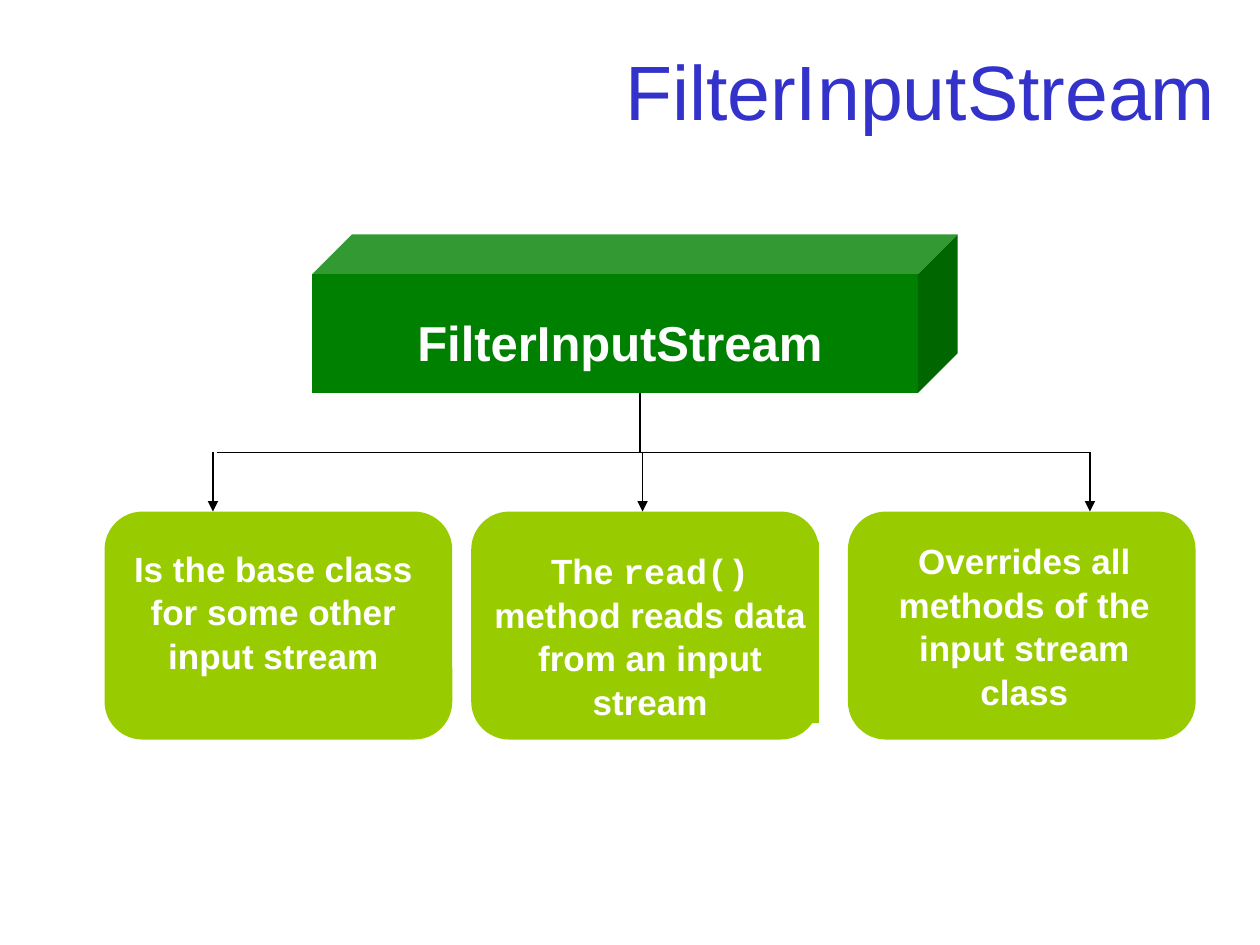
import pptx
import pptx.util
import pptx.dml.color
import pptx.enum.shapes
import pptx.enum.text
import pptx.oxml
import pptx.oxml.ns

Inches = pptx.util.Inches
SHAPE = pptx.enum.shapes.MSO_SHAPE
ALIGN = pptx.enum.text.PP_ALIGN
ANCHOR = pptx.enum.text.MSO_ANCHOR

THEME = {
    "title": "3333CC", "cube": "008000", "card": "99CC00", "text": "FFFFFF", "line": "000000",
    "font": "Arial", "code": "Courier New",
    "title_size": 44, "cube_size": 28, "card_size": 20, "line_width": 0.75, "spacing": 1.04,
}

WIDTH, HEIGHT = 10, 7.5
TITLE = "FilterInputStream"
TITLE_BOX = (0.75, 0.28, 9, 0.87)
CUBE_BOX = (2.48, 1.86, 5.12, 1.26)
CUBE_LABEL_BOX = (3.03, 2.41, 3.78, 0.57)
CARD_TOP, CARD_WIDTH, CARD_HEIGHT = 4.06, 2.76, 1.81
STEM_X = 5.08
BUS_LEFT = 1.72

CARDS = [
    {"left": 0.83, "label": (0.95, 4.28, 2.44, 1.1), "arrow": 1.69,
     "runs": [("Is the base class for some other input stream", False)]},
    {"left": 3.74, "label": (3.82, 4.3, 2.68, 1.44), "arrow": 5.1,
     "runs": [("The ", False), ("read()", True), (" method reads data from an input stream", False)]},
    {"left": 6.73, "label": (6.81, 4.22, 2.64, 1.44), "arrow": 8.65,
     "runs": [("Overrides all methods of the input stream class", False)]},
]


def color(name):
    return pptx.dml.color.RGBColor.from_string(THEME[name])


def add_block(shapes, kind, box, fill):
    shape = shapes.add_shape(kind, *map(Inches, box))
    shape.shadow.inherit = False
    shape.fill.solid()
    shape.fill.fore_color.rgb = color(fill)
    shape.line.fill.background()
    return shape


def write(shape, runs, size, ink, align, anchor, bold):
    frame = shape.text_frame
    frame.word_wrap = True
    frame.vertical_anchor = anchor
    paragraph = frame.paragraphs[0]
    paragraph.alignment = align
    paragraph.font.name = THEME["font"]
    paragraph.font.size = pptx.util.Pt(THEME[size])
    paragraph.font.bold = bold
    paragraph.font.color.rgb = color(ink)
    for text, is_code in runs:
        run = paragraph.add_run()
        run.text = text
        if is_code:
            run.font.name = THEME["code"]
    return paragraph


def add_labelled_block(slide, kind, box, label_box, fill, runs, size):
    group = slide.shapes.add_group_shape()
    block = add_block(group.shapes, kind, box, fill)
    label = add_block(group.shapes, SHAPE.RECTANGLE, label_box, fill)
    paragraph = write(label, runs, size, "text", ALIGN.CENTER, ANCHOR.TOP, True)
    paragraph.line_spacing = THEME["spacing"]
    return block


def add_line(slide, start, end, arrow=False):
    connector = slide.shapes.add_connector(
        pptx.enum.shapes.MSO_CONNECTOR.STRAIGHT, *map(Inches, start + end))
    connector.line.color.rgb = color("line")
    connector.line.width = pptx.util.Pt(THEME["line_width"])
    if arrow:
        tail = pptx.oxml.parse_xml(
            f'<a:tailEnd {pptx.oxml.ns.nsdecls("a")} type="triangle"/>')
        connector.line._get_or_add_ln().append(tail)
    effects = pptx.oxml.parse_xml(f'<a:effectLst {pptx.oxml.ns.nsdecls("a")}/>')
    connector._element.spPr.append(effects)


def main():
    presentation = pptx.Presentation()
    presentation.slide_width = Inches(WIDTH)
    presentation.slide_height = Inches(HEIGHT)
    slide = presentation.slides.add_slide(presentation.slide_layouts[6])

    title = slide.shapes.add_textbox(*map(Inches, TITLE_BOX))
    write(title, [(TITLE, False)], "title_size", "title", ALIGN.RIGHT, ANCHOR.MIDDLE, False)

    add_labelled_block(slide, SHAPE.CUBE, CUBE_BOX, CUBE_LABEL_BOX, "cube",
                       [(TITLE, False)], "cube_size")
    for card in CARDS:
        box = (card["left"], CARD_TOP, CARD_WIDTH, CARD_HEIGHT)
        add_labelled_block(slide, SHAPE.ROUNDED_RECTANGLE, box, card["label"], "card",
                           card["runs"], "card_size")

    cube_bottom = CUBE_BOX[1] + CUBE_BOX[3]
    bus_y = (cube_bottom + CARD_TOP) / 2
    add_line(slide, (STEM_X, cube_bottom), (STEM_X, bus_y))
    add_line(slide, (BUS_LEFT, bus_y), (CARDS[-1]["arrow"], bus_y))
    for card in CARDS:
        add_line(slide, (card["arrow"], bus_y), (card["arrow"], CARD_TOP), arrow=True)

    presentation.save("out.pptx")


if __name__ == "__main__":
    main()
